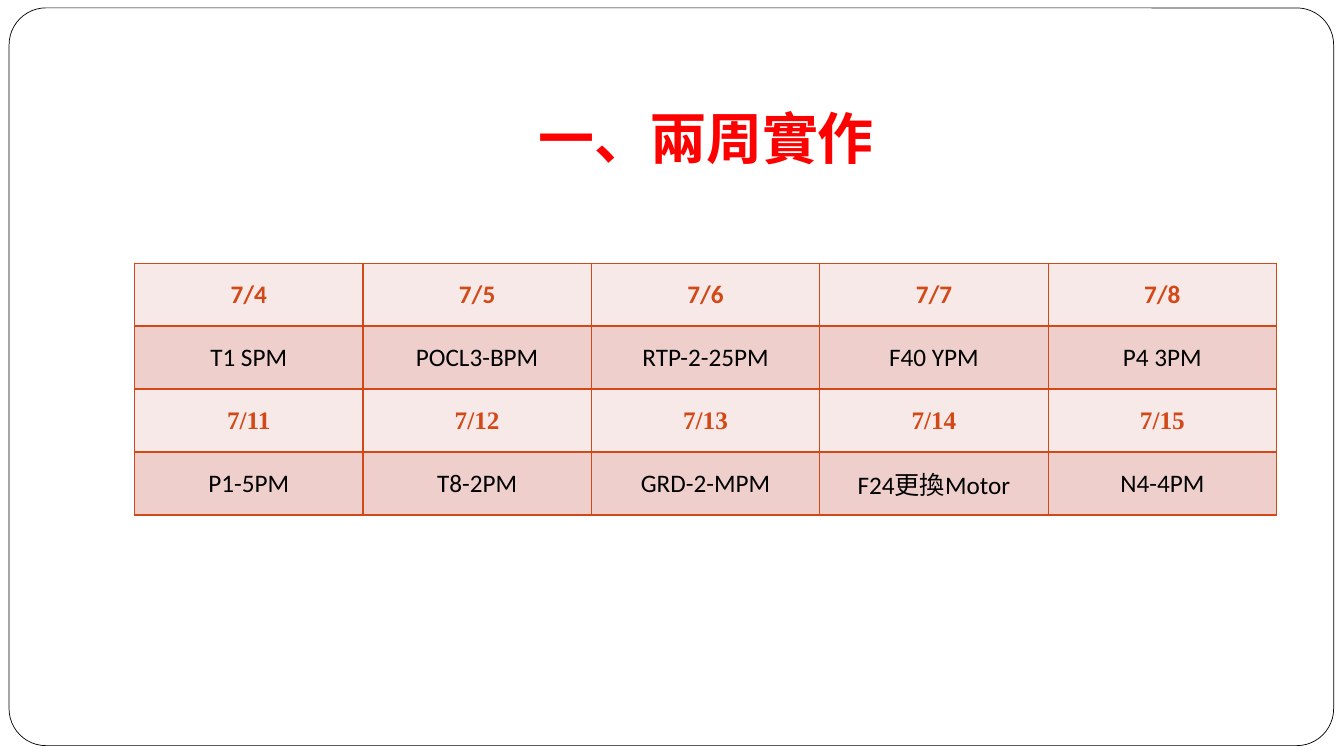
from lxml import etree
from pptx import Presentation
from pptx import util as u
from pptx.dml.color import RGBColor
from pptx.enum import shapes, text
from pptx.oxml.ns import qn

HUES = {"white": "FFFFFF", "black": "000000", "red": "FF0000",
        "rust": "D34817", "pale": "F7E9E8", "rose": "EFCFCC"}

ROWS = [
    (["7/4", "7/5", "7/6", "7/7", "7/8"], "Calibri"),
    (["T1 SPM", "POCL3-BPM", "RTP-2-25PM", "F40 YPM", "P4 3PM"], "Calibri"),
    (["7/11", "7/12", "7/13", "7/14", "7/15"], "Times New Roman"),
    (["P1-5PM", "T8-2PM", "GRD-2-MPM", "F24更換Motor", "N4-4PM"], "Calibri"),
]


def color(name):
    return RGBColor.from_string(HUES[name])


class Deck:
    def __init__(self, slide):
        self.slide = slide

    def style(self, para, words, size, face, hue, bold):
        para.text = words
        para.alignment = text.PP_ALIGN.CENTER
        font = para.font
        font.size, font.name, font.bold = u.Pt(size), face, bold
        font.color.rgb = color(hue)

    def frame(self, *box):
        panel = self.slide.shapes.add_shape(
            shapes.MSO_SHAPE.ROUNDED_RECTANGLE, *map(u.Cm, box))
        panel.adjustments[0] = 0.05
        panel.shadow.inherit = False
        panel.fill.solid()
        panel.fill.fore_color.rgb = color("white")
        panel.line.color.rgb = color("black")
        panel.line.width = u.Pt(0.5)

    def title(self, words, *box):
        label = self.slide.shapes.add_textbox(*map(u.Cm, box)).text_frame
        label.word_wrap = False
        label.auto_size = text.MSO_AUTO_SIZE.SHAPE_TO_FIT_TEXT
        self.style(label.paragraphs[0], words, 40, "Arial", "red", True)

    def border(self, cell):
        props = cell._tc.get_or_add_tcPr()
        for side in ("lnL", "lnR", "lnT", "lnB"):
            line = etree.SubElement(props, qn(f"a:{side}"), w=str(u.Pt(1)))
            fill = etree.SubElement(line, qn("a:solidFill"))
            etree.SubElement(fill, qn("a:srgbClr"), val=HUES["rust"])

    def table(self, rows, *box):
        grid = self.slide.shapes.add_table(
            len(rows), len(rows[0][0]), *map(u.Cm, box)).table
        for r, (words, face) in enumerate(rows):
            date = r % 2 == 0
            for c, word in enumerate(words):
                cell = grid.cell(r, c)
                self.border(cell)
                cell.fill.solid()
                cell.fill.fore_color.rgb = color("pale" if date else "rose")
                cell.vertical_anchor = text.MSO_ANCHOR.MIDDLE
                self.style(cell.text_frame.paragraphs[0], word, 18, face,
                           "rust" if date else "black", date)


def main():
    show = Presentation()
    show.slide_width, show.slide_height = u.Cm(33.87), u.Cm(19.05)
    deck = Deck(show.slides.add_slide(show.slide_layouts[6]))
    deck.frame(0.23, 0.2, 33.38, 18.59)
    deck.table(ROWS, 3.39, 6.63, 28.78, 6.35)
    deck.title("一、兩周實作", 13.26, 2.49, 9.07, 1.96)
    show.save("out.pptx")


if __name__ == "__main__":
    main()
